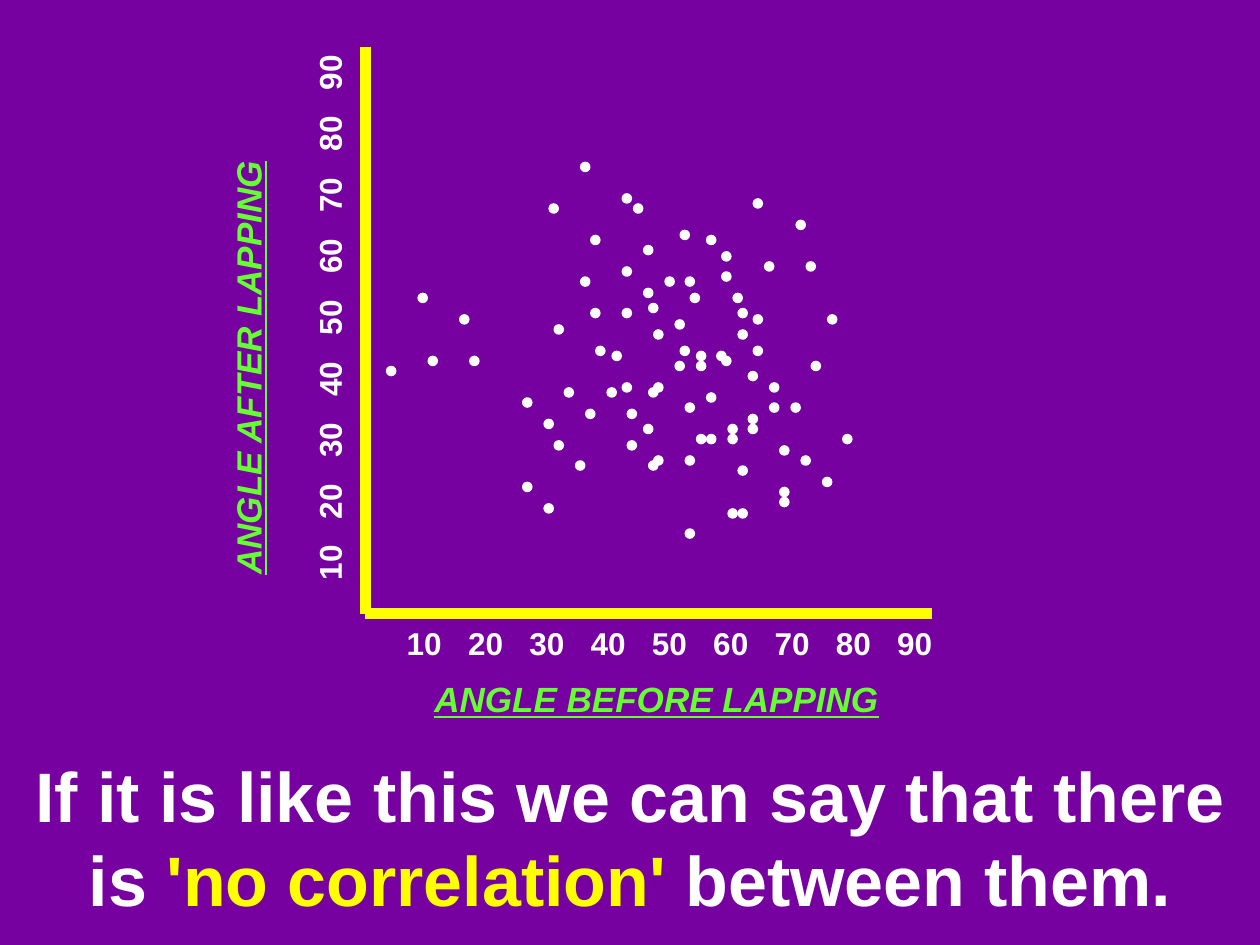
from lxml.etree import SubElement
from pptx import Presentation
from pptx.dml.color import RGBColor
from pptx.enum.shapes import MSO_CONNECTOR, MSO_SHAPE
from pptx.enum.text import PP_ALIGN
from pptx.oxml.ns import qn
from pptx.util import Inches, Pt

PURPLE, WHITE, YELLOW, GREEN = "7600A0", "FFFFFF", "FFFF00", "66FF33"
TICKS = range(10, 100, 10)
TICK_STEP = 0.4865
DOT_SIZE = 0.07

# Scatter dots: top of each row -> left edges, in inches within the plot region
DOTS = {
    1.29: [3.61], 1.54: [3.94], 1.58: [4.98], 1.62: [3.36, 4.03],
    1.75: [5.32], 1.83: [4.4], 1.87: [3.69, 4.61], 1.95: [4.11],
    2.0: [4.73], 2.08: [5.07, 5.4], 2.12: [3.94], 2.16: [4.73],
    2.2: [3.61, 4.28, 4.44], 2.29: [4.11], 2.33: [2.32, 4.48, 4.82],
    2.41: [4.15], 2.45: [3.69, 3.94, 4.86], 2.5: [2.65, 4.98, 5.57],
    2.54: [4.36], 2.58: [3.4], 2.62: [4.19, 4.86],
    2.75: [3.73, 4.4, 4.98], 2.79: [3.86, 4.53, 4.69],
    2.83: [2.4, 2.73, 4.73], 2.87: [4.36, 4.53, 5.44], 2.91: [2.07],
    2.95: [4.94], 3.04: [3.94, 4.19, 5.11], 3.08: [3.48, 3.82, 4.15],
    3.12: [4.61], 3.16: [3.15], 3.2: [4.44, 5.11, 5.28],
    3.25: [3.65, 3.98], 3.29: [4.94], 3.33: [3.32],
    3.37: [4.11, 4.78, 4.94], 3.45: [4.53, 4.61, 4.78, 5.69],
    3.5: [3.4, 3.98], 3.54: [5.19], 3.62: [4.19, 4.44, 5.36],
    3.66: [3.57, 4.15], 3.7: [4.86], 3.79: [5.53], 3.83: [3.15],
    3.87: [5.19], 3.95: [5.19], 4.0: [3.32], 4.04: [4.78, 4.86],
    4.2: [4.44],
}


def color(hex_value):
    return RGBColor.from_string(hex_value)


def add_text(shapes, box, runs, size, align=PP_ALIGN.LEFT, tabs=(), rotation=0,
             title=False):
    """Place one bold paragraph made of (words, colour) runs."""
    label = shapes.add_textbox(*map(Inches, box))
    label.rotation = rotation
    frame = label.text_frame
    frame.word_wrap = True
    paragraph = frame.paragraphs[0]
    paragraph.alignment = align
    paragraph.line_spacing = Pt(size * 1.2)
    if tabs:
        frame.margin_right = 0
        tab_list = SubElement(paragraph._p.get_or_add_pPr(), qn("a:tabLst"))
        for position in tabs:
            SubElement(tab_list, qn("a:tab"), pos=str(Inches(position)), algn="l")
    for words, hex_value in runs:
        run = paragraph.add_run()
        run.text = words
        font = run.font
        font.name, font.size, font.bold = "Arial", Pt(size), True
        font.color.rgb = color(hex_value)
        if title:
            font.italic = font.underline = True


def add_axis(shapes, start, end):
    axis = shapes.add_connector(MSO_CONNECTOR.STRAIGHT, *map(Inches, start + end))
    axis.line.color.rgb = color(YELLOW)
    axis.line.width = Pt(6)
    SubElement(axis._element.spPr, qn("a:effectLst"))


def add_dot(shapes, left, top):
    dot = shapes.add_shape(MSO_SHAPE.OVAL, Inches(left), Inches(top),
                           Inches(DOT_SIZE), Inches(DOT_SIZE))
    dot.shadow.inherit = False
    dot.fill.solid()
    dot.fill.fore_color.rgb = color(WHITE)
    dot.line.color.rgb = color(WHITE)
    dot.line.width = Pt(1)


def add_scatter_plot(slide, left, top):
    shapes = slide.shapes.add_group_shape().shapes

    # Axis titles
    add_text(shapes, (left + 1.67, top + 5.33, 5.08, 0.43),
             [("ANGLE BEFORE LAPPING", GREEN)], 20, PP_ALIGN.CENTER, title=True)
    add_text(shapes, (left - 1.2, top + 2.28, 4.33, 0.43),
             [("ANGLE AFTER LAPPING", GREEN)], 20, rotation=270, title=True)

    # Axes meeting at the origin
    origin = (left + 1.9, top + 4.87)
    add_axis(shapes, (left + 1.9, top + 0.37), origin)
    add_axis(shapes, origin, (left + 6.4, top + 4.87))

    # Tick labels, evenly spaced by tab stops
    ticks = [("\t".join(map(str, TICKS)), WHITE)]
    stops = [TICK_STEP * number for number in range(1, len(TICKS))]
    add_text(shapes, (left + 2.13, top + 4.9, 4.37, 0.4), ticks, 18, tabs=stops)
    add_text(shapes, (left - 0.57, top + 2.32, 4.37, 0.4), ticks, 18,
             tabs=stops, rotation=270)

    # Dots
    for dot_top, dot_lefts in DOTS.items():
        for dot_left in dot_lefts:
            add_dot(shapes, left + dot_left, top + dot_top)


def add_conclusion(slide, left, top, width, height):
    add_text(slide.shapes, (left, top, width, height),
             [("If it is like this we can say that there is ", WHITE),
              ("'no correlation'", YELLOW),
              (" between them.", WHITE)], 40, PP_ALIGN.CENTER)


def main():
    deck = Presentation()
    deck.slide_width, deck.slide_height = Inches(10), Inches(7.5)
    slide = deck.slides.add_slide(deck.slide_layouts[6])
    slide.background.fill.solid()
    slide.background.fill.fore_color.rgb = color(PURPLE)
    add_conclusion(slide, 0, 5.92, 10, 1.43)
    add_scatter_plot(slide, 1, 0)
    deck.save("out.pptx")


if __name__ == "__main__":
    main()
